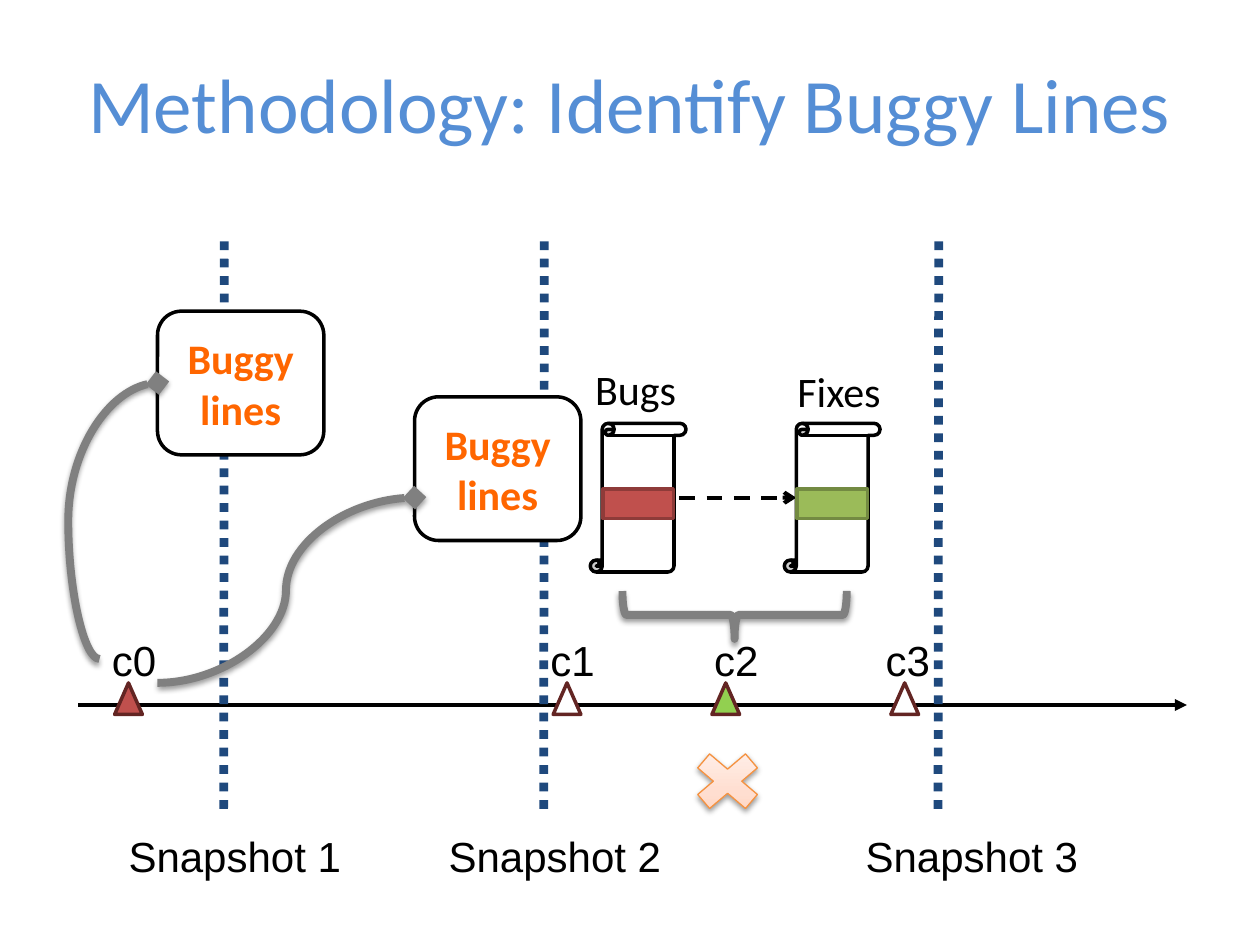
from copy import deepcopy

from lxml.etree import SubElement
from pptx import Presentation
from pptx.dml.color import RGBColor
from pptx.enum.dml import MSO_LINE
from pptx.enum.shapes import MSO_CONNECTOR, MSO_SHAPE
from pptx.enum.text import MSO_ANCHOR, PP_ALIGN
from pptx.oxml.ns import qn
from pptx.util import Inches, Pt

COLUMNS, ROWS = 100, 75  # square grid cells over the whole slide
CELL = Inches(10) // COLUMNS

BLACK = RGBColor(0x00, 0x00, 0x00)
WHITE = RGBColor(0xFF, 0xFF, 0xFF)
GRAY = RGBColor(0x80, 0x80, 0x80)
TITLE_BLUE = RGBColor(0x55, 0x8E, 0xD5)
NAVY = RGBColor(0x1F, 0x49, 0x7D)
ORANGE = RGBColor(0xFF, 0x66, 0x00)
RED = RGBColor(0xC0, 0x50, 0x4D)
DARK_RED = RGBColor(0x8E, 0x3B, 0x39)
GREEN = RGBColor(0x9B, 0xBB, 0x59)
DARK_GREEN = RGBColor(0x73, 0x8A, 0x42)
LIME = RGBColor(0x92, 0xD0, 0x50)
MAROON = RGBColor(0x63, 0x25, 0x23)
CROSS_EDGE = RGBColor(0xF5, 0x92, 0x40)
CROSS_STOPS = [
    (0, RGBColor(0xFF, 0xD2, 0xBD)),
    (0.35, RGBColor(0xFF, 0xDE, 0xD0)),
    (1, RGBColor(0xFF, 0xF2, 0xED)),
]


def grid(*cells):
    return [round(cell * CELL) for cell in cells]


def write(frame, text, size=24, font="Calibri", color=BLACK, bold=False,
          align=PP_ALIGN.LEFT, anchor=MSO_ANCHOR.TOP, spacing=None):
    frame.word_wrap = True
    frame.vertical_anchor = anchor
    paragraph = frame.paragraphs[0]
    paragraph.alignment = align
    paragraph.line_spacing = spacing
    run = paragraph.add_run()
    run.text = text
    run.font.size = Pt(size)
    run.font.name = font
    run.font.bold = bold
    run.font.color.rgb = color


def add_label(slide, box, text, **text_format):
    write(slide.shapes.add_textbox(*grid(*box)).text_frame, text, **text_format)


def add_figure(slide, kind, box, fill, edge, width=2):
    figure = slide.shapes.add_shape(kind, *grid(*box))
    figure.shadow.inherit = False
    if fill is None:
        figure.fill.background()
    else:
        figure.fill.solid()
        figure.fill.fore_color.rgb = fill
    figure.line.color.rgb = edge
    figure.line.width = Pt(width)
    return figure


def add_line(slide, start, end, color, width, kind=MSO_CONNECTOR.STRAIGHT,
             dash=None, arrow=None):
    line = slide.shapes.add_connector(kind, *grid(*start, *end))
    line.line.color.rgb = color
    line.line.width = Pt(width)
    if dash:
        line.line.dash_style = dash
    properties = line._element.spPr
    if arrow:
        SubElement(properties.find(qn("a:ln")), qn("a:tailEnd"), type=arrow)
    SubElement(properties, qn("a:effectLst"))
    return line


def cast_shadow(figure):
    effects = figure._element.spPr.find(qn("a:effectLst"))
    shadow = SubElement(effects, qn("a:outerShdw"), blurRad="40000",
                        dist="20000", dir="5400000", rotWithShape="0")
    color = SubElement(shadow, qn("a:srgbClr"), val="000000")
    SubElement(color, qn("a:alpha"), val="38000")


def add_cross(slide):
    cross = add_figure(slide, MSO_SHAPE.MATH_MULTIPLY, (54.1, 58.9, 7.3, 6.2),
                       WHITE, CROSS_EDGE, 0.75)
    cross.fill.gradient()
    cross.fill.gradient_angle = 90
    stop_list = cross._element.spPr.find(".//" + qn("a:gsLst"))
    stop_list.append(deepcopy(stop_list[0]))
    for stop, (position, color) in zip(cross.fill.gradient_stops, CROSS_STOPS):
        stop.position = position
        stop.color.rgb = color
    cast_shadow(cross)


def add_code_scroll(slide, left, fill, edge):
    """A source file with its changed lines marked as a bar."""
    add_figure(slide, MSO_SHAPE.VERTICAL_SCROLL, (left, 33.6, 7.6, 11.8), WHITE, BLACK)
    add_figure(slide, MSO_SHAPE.MATH_MINUS, (left, 35, 7.6, 10), fill, edge)


def add_bug_fix(slide):
    add_line(slide, (53.9, 39.5), (63.2, 39.5), BLACK, 2.25,
             dash=MSO_LINE.DASH, arrow="arrow")
    add_code_scroll(slide, 46.85, RED, DARK_RED)
    add_code_scroll(slide, 62.25, GREEN, DARK_GREEN)
    add_label(slide, (46.25, 28.35, 11, 5), "Bugs")
    add_label(slide, (62.3, 28.5, 9.2, 5), "Fixes")
    brace = add_figure(slide, MSO_SHAPE.LEFT_BRACE, (56.4, 39.9, 3.8, 17.8),
                       None, GRAY, 4.5)
    brace.rotation = 270
    cast_shadow(brace)


def add_commit(slide, name, label_left, marker_left, fill):
    add_figure(slide, MSO_SHAPE.ISOSCELES_TRIANGLE, (marker_left, 54.2, 2.2, 2.5),
               fill, MAROON)
    add_label(slide, (label_left, 50.2, 6, 4), name, font="Arial", spacing=0.93)


def add_snapshot(slide, number, column, label_left):
    add_line(slide, (column, 19.15), (column - 0.05, 64.75), NAVY, 5,
             dash=MSO_LINE.ROUND_DOT)
    add_label(slide, (label_left, 65.45, 20.4, 4.2), f"Snapshot {number}",
              font="Arial", align=PP_ALIGN.RIGHT)


def add_buggy_lines(slide, left, top):
    box = add_figure(slide, MSO_SHAPE.ROUNDED_RECTANGLE, (left, top, 13.2, 11.4),
                     WHITE, BLACK)
    write(box.text_frame, "Buggy lines", color=ORANGE, bold=True,
          align=PP_ALIGN.CENTER, anchor=MSO_ANCHOR.MIDDLE)


def add_trace(slide, start, end, bend=0.5):
    """Curve from a commit to its buggy lines; bend is its turning point."""
    trace = add_line(slide, start, end, GRAY, 4.5, MSO_CONNECTOR.CURVE,
                     arrow="diamond")
    adjustments = trace._element.spPr.find(".//" + qn("a:avLst"))
    SubElement(adjustments, qn("a:gd"), name="adj1",
               fmla=f"val {round(bend * 100000)}")
    cast_shadow(trace)


def main():
    deck = Presentation()
    deck.slide_width, deck.slide_height = grid(COLUMNS, ROWS)
    slide = deck.slides.add_slide(deck.slide_layouts[6])

    add_label(slide, (5, 1.3, 90, 13.7), "Methodology: Identify Buggy Lines",
              size=44, color=TITLE_BLUE, align=PP_ALIGN.CENTER,
              anchor=MSO_ANCHOR.MIDDLE)
    add_cross(slide)
    add_bug_fix(slide)

    add_line(slide, (6.2, 55.95), (94.2, 55.95), BLACK, 2.3, arrow="triangle")
    for commit in [("c0", 7.9, 9.1, RED), ("c1", 42.7, 43.9, WHITE),
                   ("c2", 55.7, 56.5, LIME), ("c3", 69.3, 70.7, WHITE)]:
        add_commit(slide, *commit)
    for snapshot in [(1, 17.8, 7.65), (2, 43.2, 33.05), (3, 74.5, 66.15)]:
        add_snapshot(slide, *snapshot)

    add_buggy_lines(slide, 32.9, 31.5)
    add_trace(slide, (12.5, 54.2), (32.9, 39.5))
    add_buggy_lines(slide, 12.5, 24.7)
    add_trace(slide, (7.9, 52.3), (12.5, 30.4), bend=-0.54)

    deck.save("out.pptx")


if __name__ == "__main__":
    main()
